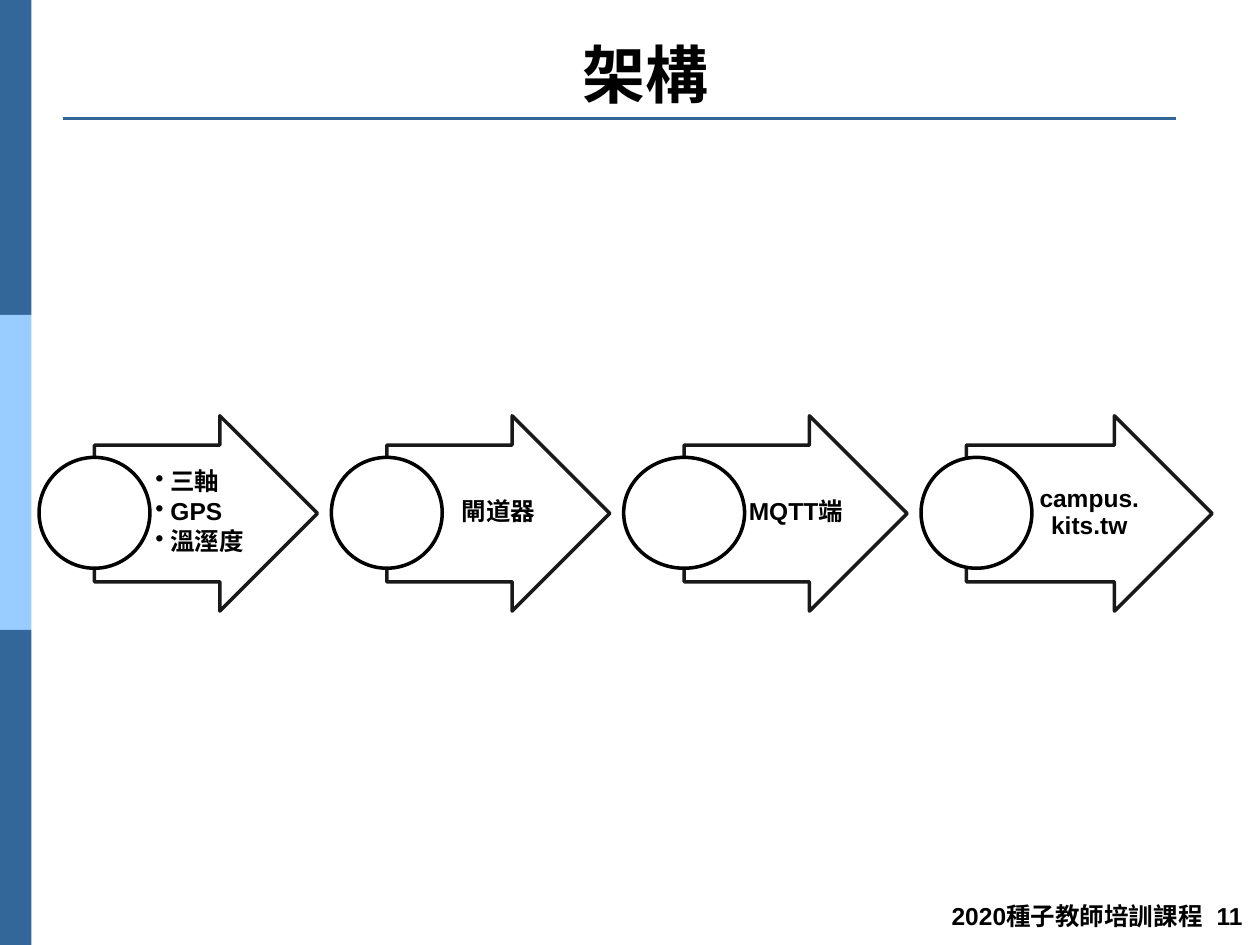
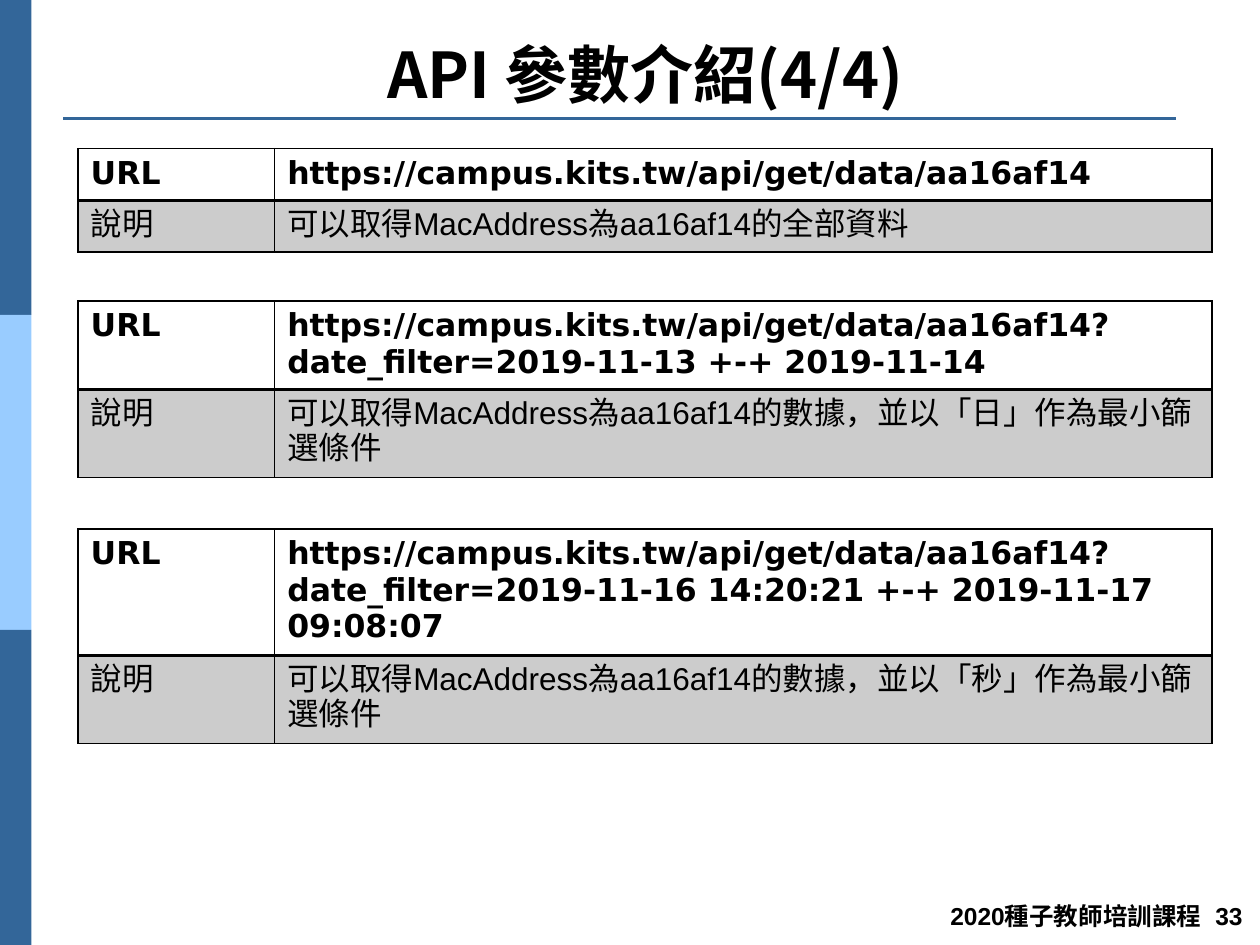
from dataclasses import dataclass

from lxml import etree
from pptx import Presentation
from pptx.dml.color import RGBColor
from pptx.enum.shapes import MSO_CONNECTOR, MSO_SHAPE
from pptx.enum.text import MSO_ANCHOR, MSO_AUTO_SIZE, PP_ALIGN
from pptx.oxml.ns import qn
from pptx.util import Inches, Pt

RECTANGLE = MSO_SHAPE.RECTANGLE
ARROW = MSO_SHAPE.RIGHT_ARROW
CIRCLE = MSO_SHAPE.OVAL
STRAIGHT = MSO_CONNECTOR.STRAIGHT
MIDDLE, BOTTOM = MSO_ANCHOR.MIDDLE, MSO_ANCHOR.BOTTOM
NO_FIT = MSO_AUTO_SIZE.NONE
LEFT, CENTER, RIGHT = PP_ALIGN.LEFT, PP_ALIGN.CENTER, PP_ALIGN.RIGHT

WIDTH, HEIGHT = Inches(10), Inches(7.5)
COLUMNS, ROWS = 100, 75
TITLE_ONLY = 5


@dataclass(frozen=True)
class TextStyle:
    font: str
    size: int
    bold: bool = True


@dataclass(frozen=True)
class Theme:
    band: RGBColor = RGBColor(0x33, 0x66, 0x99)
    band_light: RGBColor = RGBColor(0x99, 0xCC, 0xFF)
    ink: RGBColor = RGBColor(0, 0, 0)
    paper: RGBColor = RGBColor(255, 255, 255)
    title: TextStyle = TextStyle("Noto Sans CJK TC", 36)
    label: TextStyle = TextStyle("Arial", 14)
    url: TextStyle = TextStyle("DejaVu Sans", 18)
    note: TextStyle = TextStyle("Arial", 18, False)
    rule_width: float = 1.5
    outline: int = 2
    thin: int = 1
    arrow_opacity: int = 90
    shade_opacity: int = 20


THEME = Theme()


@dataclass(frozen=True)
class Box:
    """A place on the slide, in grid columns and rows."""
    left: float
    top: float
    width: float
    height: float

    def emu(self) -> tuple[int, int, int, int]:
        return col(self.left), row(self.top), col(self.width), row(self.height)


@dataclass(frozen=True)
class Stage:
    lines: tuple[str, ...]
    knob_width: float = 8.8
    arrow_width: float = 17.7
    arrow_shift: float = 0


@dataclass(frozen=True)
class Endpoint:
    top: float
    url: str
    note: str


STAGES = (
    Stage(("三軸", "GPS", "溫溼度")),
    Stage(("閘道器",)),
    Stage(("MQTT端",), knob_width=9.6),
    Stage(("campus.kits.tw",), arrow_width=19.5, arrow_shift=-0.8),
)
API = "https://campus.kits.tw/api/get/data/aa16af14"
ENDPOINTS = (
    Endpoint(11.8, API, "可以取得MacAddress為aa16af14的全部資料"),
    Endpoint(23.9, API + "?date_filter=2019-11-13 +-+ 2019-11-14",
             "可以取得MacAddress為aa16af14的數據，並以「日」作為最小篩選條件"),
    Endpoint(42, API + "?date_filter=2019-11-16 14:20:21 +-+ 2019-11-17 09:08:07",
             "可以取得MacAddress為aa16af14的數據，並以「秒」作為最小篩選條件"),
)


def col(count: float) -> int:
    return round(WIDTH * count / COLUMNS)


def row(count: float) -> int:
    return round(HEIGHT * count / ROWS)


def add_run(paragraph, text: str, style: TextStyle):
    run = paragraph.add_run()
    run.text = text
    font = run.font
    font.name, font.size, font.bold = style.font, Pt(style.size), style.bold
    font.color.rgb = THEME.ink
    east_asian = etree.SubElement(run._r.get_or_add_rPr(), qn("a:ea"))
    east_asian.set("typeface", style.font)
    return run


def set_opacity(properties, percent: int) -> None:
    for color in properties.iter(qn("a:srgbClr")):
        etree.SubElement(color, qn("a:alpha")).set("val", str(percent * 1000))


def add_figure(slide, kind, box: Box, fill: RGBColor, outlined: bool = False):
    figure = slide.shapes.add_shape(kind, *box.emu())
    figure.shadow.inherit = False
    figure.fill.solid()
    figure.fill.fore_color.rgb = fill
    if outlined:
        figure.line.color.rgb = THEME.ink
        figure.line.width = Pt(THEME.outline)
    else:
        figure.line.fill.background()
    return figure


def add_base_slide(deck, heading: str, number: int):
    """Add a slide with its side bands, title, rule and footer."""
    slide = deck.slides.add_slide(deck.slide_layouts[TITLE_ONLY])
    band_height = ROWS / 3
    for index, color in enumerate((THEME.band, THEME.band_light, THEME.band)):
        add_figure(slide, RECTANGLE,
                   Box(0, index * band_height, COLUMNS / 40, band_height), color)

    rule = slide.shapes.add_connector(STRAIGHT, col(5), row(9.4), col(93.3), row(9.4))
    rule.line.color.rgb = THEME.band
    rule.line.width = Pt(THEME.rule_width)
    etree.SubElement(rule._element.spPr, qn("a:effectLst"))

    title = slide.shapes.title
    title.left, title.top, title.width, title.height = Box(6.2, 3, 90, 6.3).emu()
    title.text_frame.auto_size = NO_FIT
    title.text_frame.vertical_anchor = BOTTOM
    title_line = title.text_frame.paragraphs[0]
    title_line.alignment = CENTER
    add_run(title_line, heading, THEME.title)

    footer = slide.shapes.add_textbox(*Box(48.7, 71, 50.9, 3.4).emu()).text_frame
    footer.word_wrap = True
    footer_line = footer.paragraphs[0]
    footer_line.alignment = RIGHT
    add_run(footer_line, "2020種子教師培訓課程", THEME.label)
    gap = add_run(footer_line, " ", THEME.label)
    gap._r.get_or_add_rPr().set("spc", "400")
    add_run(footer_line, str(number), THEME.label)
    return slide


def add_bullet(paragraph, indent: int) -> None:
    properties = paragraph._p.get_or_add_pPr()
    properties.set("marL", str(indent))
    properties.set("indent", str(-indent))
    etree.SubElement(properties, qn("a:buChar")).set("char", "•")


def add_stage(slide, stage: Stage, left: float) -> float:
    """Draw one stage and return the column of its arrow tip."""
    arrow_left = left + stage.knob_width / 2 + stage.arrow_shift
    arrow = add_figure(slide, ARROW, Box(arrow_left, 33, stage.arrow_width, 15.5),
                       THEME.paper, outlined=True)
    arrow.adjustments[0], arrow.adjustments[1] = 0.7, 0.5
    set_opacity(arrow._element.spPr, THEME.arrow_opacity)

    label_box = Box(arrow_left + stage.arrow_width / 4, 35.3,
                    stage.arrow_width * 0.49, 10.8)
    label = slide.shapes.add_textbox(*label_box.emu()).text_frame
    label.word_wrap = True
    label.vertical_anchor = MIDDLE
    label.margin_left, label.margin_right = col(0.4), col(0.2)
    label.margin_top = label.margin_bottom = row(0.1)
    is_list = len(stage.lines) > 1
    for index, line in enumerate(stage.lines):
        paragraph = label.add_paragraph() if index else label.paragraphs[0]
        if is_list:
            add_bullet(paragraph, col(1.2))
            paragraph.space_after = Pt(2)
        paragraph.alignment = LEFT if is_list else CENTER
        paragraph.line_spacing = 0.9
        add_run(paragraph, line, THEME.label)

    add_figure(slide, CIRCLE, Box(left, 36.3, stage.knob_width, 8.8),
               THEME.paper, outlined=True)
    return arrow_left + stage.arrow_width


def set_borders(cell, **widths: int) -> None:
    """Set the cell's edges; keys are L, R, T and B, in points."""
    properties = cell._tc.get_or_add_tcPr()
    for index, side in enumerate("LRTB"):
        edge = etree.Element(qn(f"a:ln{side}"), w=str(Pt(widths.get(side, THEME.thin))))
        fill = etree.SubElement(edge, qn("a:solidFill"))
        etree.SubElement(fill, qn("a:srgbClr")).set("val", str(THEME.ink))
        properties.insert(index, edge)


def add_endpoint(slide, endpoint: Endpoint) -> None:
    frame = slide.shapes.add_table(2, 2, *Box(6.2, endpoint.top, 90, 8.2).emu())
    table = frame.table
    table.first_row = table.horz_banding = False
    for column, width in zip(table.columns, (15.6, 74.4)):
        column.width = col(width)
    contents = (("URL", endpoint.url), ("說明", endpoint.note))
    for row_index, texts in enumerate(contents):
        is_note = row_index == 1
        for column_index, text in enumerate(texts):
            cell = table.cell(row_index, column_index)
            if is_note:
                cell.fill.solid()
                cell.fill.fore_color.rgb = THEME.ink
                set_opacity(cell._tc.tcPr, THEME.shade_opacity)
                set_borders(cell, T=THEME.outline)
            else:
                cell.fill.background()
                set_borders(cell, B=THEME.outline)
            add_run(cell.text_frame.paragraphs[0], text,
                    THEME.note if is_note else THEME.url)


def main() -> None:
    deck = Presentation()
    deck.slide_width, deck.slide_height = WIDTH, HEIGHT

    architecture = add_base_slide(deck, "架構", 11)
    stage_left = 3.1
    for stage in STAGES:
        stage_left = add_stage(architecture, stage, stage_left) + 1.1

    parameters = add_base_slide(deck, "API 參數介紹(4/4)", 33)
    for endpoint in ENDPOINTS:
        add_endpoint(parameters, endpoint)

    deck.save("out.pptx")


if __name__ == "__main__":
    main()
